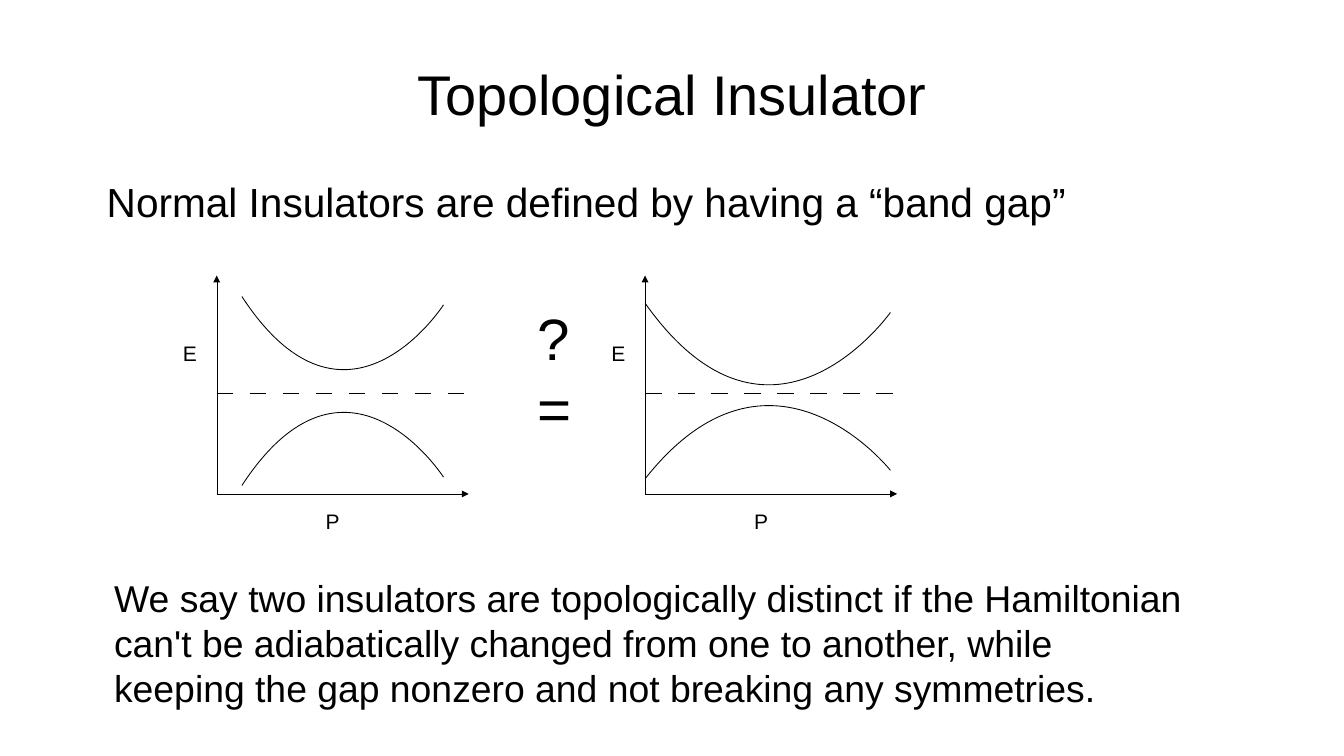
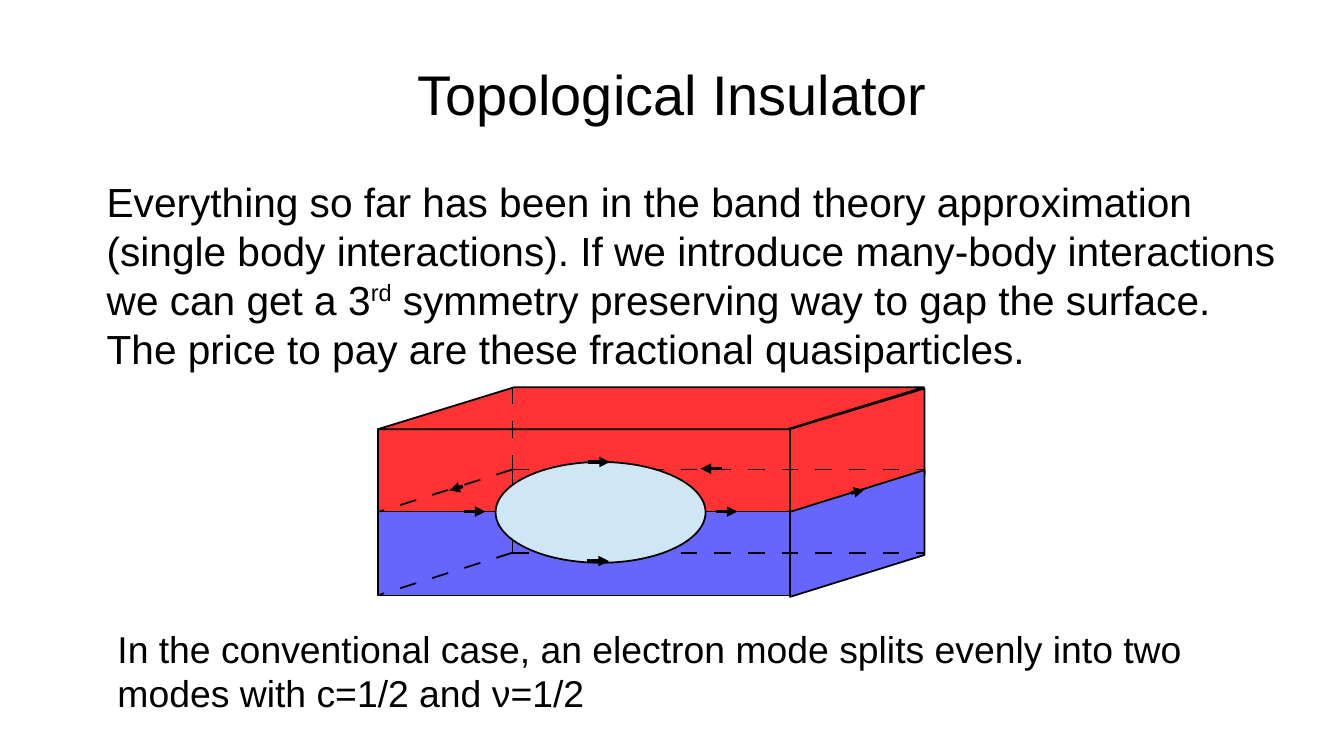
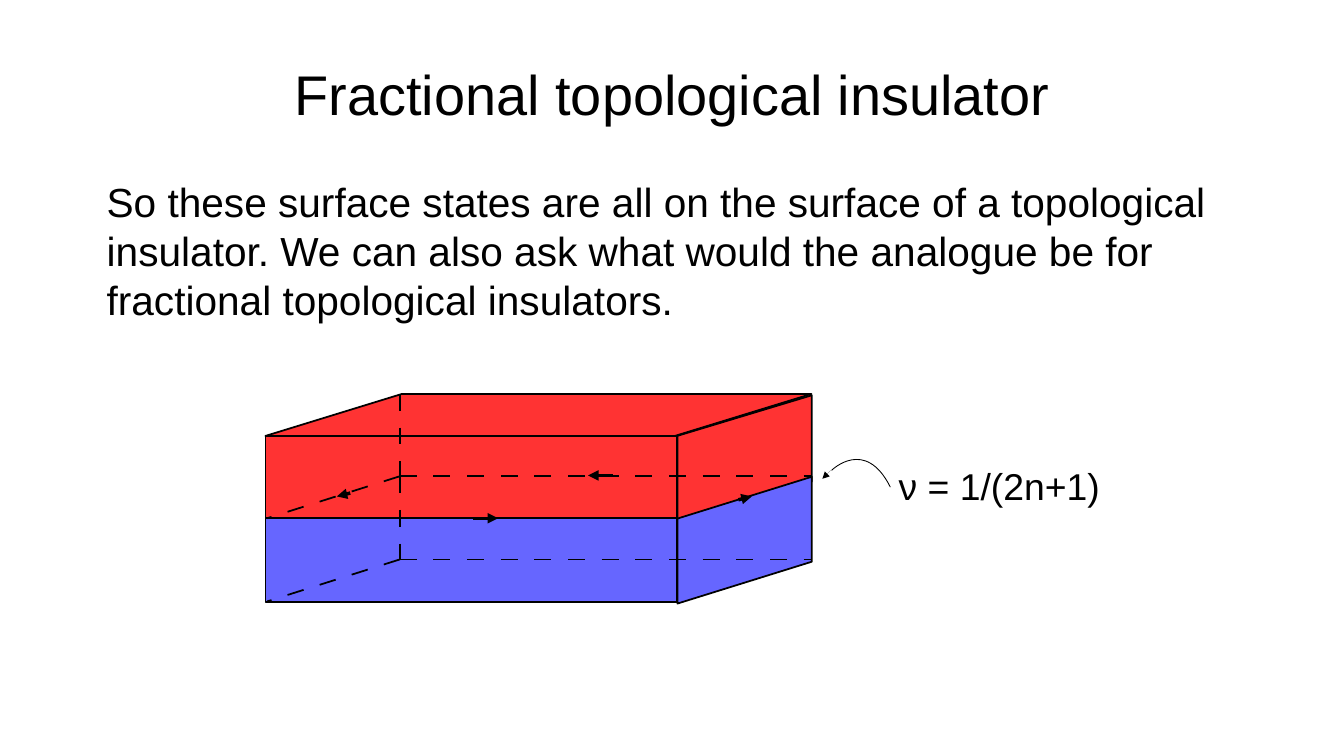
from lxml import etree
from pptx import Presentation
from pptx.dml.color import RGBColor
from pptx.enum.shapes import MSO_CONNECTOR, MSO_SHAPE
from pptx.enum.text import MSO_ANCHOR, MSO_AUTO_SIZE, PP_ALIGN
from pptx.oxml.ns import qn
from pptx.util import Pt

RECT, SLANT, OVAL = MSO_SHAPE.RECTANGLE, MSO_SHAPE.PARALLELOGRAM, MSO_SHAPE.OVAL
LINE = MSO_CONNECTOR.STRAIGHT
TOP, MID = MSO_ANCHOR.TOP, MSO_ANCHOR.MIDDLE
LEFT, CENTER = PP_ALIGN.LEFT, PP_ALIGN.CENTER
FIXED = MSO_AUTO_SIZE.NONE

BLACK = RGBColor(0x00, 0x00, 0x00)
RED = RGBColor(0xFF, 0x33, 0x33)
BLUE = RGBColor(0x66, 0x66, 0xFF)
PALE = RGBColor(0xCF, 0xE7, 0xF5)
FONT = "Arial"
SCALE = 9144  # EMU in one px, 100 px to the inch
DASH = 14.4  # dash and gap, points

# Content: title, body runs (text, raised), body height
HEADS = [
    ("Topological Insulator",
     [("Normal Insulators are defined by having a “band gap”", False)], 594),
    ("Topological Insulator",
     [("Everything so far has been in the band theory approximation (single body "
       "interactions). If we introduce many-body interactions we can get a 3", False),
      ("rd", True),
      (" symmetry preserving way to gap the surface. The price to pay are these "
       "fractional quasiparticles.", False)], 647),
    ("Fractional topological insulator",
     [("So these surface states are all on the surface of a topological insulator. "
       "We can also ask what would the analogue be for fractional topological "
       "insulators.", False)], 594),
]

# Text boxes per slide: paragraphs, place, size
NOTES = [
    [(["We say two insulators are topologically distinct if the Hamiltonian can't be "
       "adiabatically changed from one to another, while keeping the gap nonzero and "
       "not breaking any symmetries."], (126, 680, 1294, 209), 32),
     (["?", "="], (630, 355, 94, 165), 50)],
    [(["In the conventional case, an electron mode splits evenly into two modes with "
       "c=1/2 and ν=1/2"], (130, 740, 1390, 117), 32)],
    [(["ν = 1/(2n+1)"], (1060, 546, 380, 64), 32)],
]

# Band plots: left edge, then curves as start, bend, end, height of the turn
PLOTS = [
    (258, [((288, 578), (412, 388), (528, 568), 490),
           ((288, 353), (412, 543), (528, 363), 440)]),
    (768, [((768, 570), (918, 380), (1060, 560), 483),
           ((768, 361), (918, 573), (1060, 372), 458)]),
]
PLOT_TOP, PLOT_MID, PLOT_END, PLOT_WIDE = 328, 468, 588, 300

# Slab parts, measured from its top left corner
FACES = [  # shape, place, fill, slant, turned
    (RECT, (0, 50, 490, 100), RED, None, False),
    (SLANT, (0, 0, 650, 50), RED, 3.25, False),
    (SLANT, (495, -3, 151, 160), RED, 0.32, True),
    (RECT, (0, 148, 490, 100), BLUE, None, False),
    (SLANT, (495, 94, 151, 160), BLUE, 0.33, True),
]
EDGES = [
    (160, 98, 2, 148), (160, 0, 160, 98), (160, 98, 650, 98),
    (160, 197, 650, 197), (160, 98, 160, 197), (160, 197, 2, 247),
]

# Edge modes
BACK = [(860, 558, 834, 558), (1013, 587, 1029, 583), (551, 579, 535, 584)]
HOLE = (590, 550, 250, 120)
FRONT = [(552, 609, 578, 609), (700, 550, 726, 550),
         (699, 668, 725, 668), (852, 609, 878, 609)]
MODES = [(563, 617, 593, 617), (730, 566, 700, 566),
         (879, 595, 895, 591), (417, 587, 401, 591)]
HOOK = ((1060, 580), (1030, 520), (990, 560), 547)
TIP = (989, 560, 979, 570)


def emu(*vals):
    return [v * SCALE for v in vals]


def style(para, size):
    for run in para.runs:
        font = run.font
        font.name, font.size, font.color.rgb = FONT, Pt(size), BLACK


def frame(shape, anchor, pad):
    text = shape.text_frame
    text.word_wrap, text.auto_size, text.vertical_anchor = True, FIXED, anchor
    text.margin_left, text.margin_right = emu(2 * pad, 2 * pad)
    text.margin_top, text.margin_bottom = emu(pad, pad)
    return text


def place(shape, *box):
    shape.left, shape.top, shape.width, shape.height = emu(*box)


def add_head(deck, title, runs, high):
    slide = deck.slides.add_slide(deck.slide_layouts[1])
    head, body = slide.placeholders
    place(head, 80, 36, 1440, 150)
    para = frame(head, MID, 0).paragraphs[0]
    para.text, para.alignment = title, CENTER
    style(para, 47.9)

    place(body, 80, 211, 1440, high)
    para = frame(body, TOP, 0).paragraphs[0]
    prop = para._p.get_or_add_pPr()
    prop.set("marL", str(47 * SCALE))
    prop.set("indent", "0")
    etree.SubElement(prop, qn("a:buNone"))
    para.alignment = LEFT
    para.space_before, para.space_after = Pt(0), Pt(15.4)
    for text, raised in runs:
        run = para.add_run()
        run.text = text
        if raised:
            run._r.get_or_add_rPr().set("baseline", "33000")
    style(para, 34.8)
    return slide


def add_note(slide, lines, box, size):
    text = frame(slide.shapes.add_textbox(*emu(*box)), TOP, 5)
    text.text = "\n".join(lines)
    for para in text.paragraphs:
        style(para, size)


def add_line(slide, ends, width, dash=False, arrow=False):
    line = slide.shapes.add_connector(LINE, *emu(*ends))
    line.line.color.rgb, line.line.width = BLACK, Pt(width)
    # Without the theme style a zero width stays a hairline
    item = line._element
    item.remove(item.find(qn("p:style")))
    pen = item.spPr.find(qn("a:ln"))
    pen.set("w", str(Pt(width)))
    if dash:
        stop = etree.SubElement(etree.SubElement(pen, qn("a:custDash")), qn("a:ds"))
        for key in ("d", "sp"):
            stop.set(key, str(round(DASH / width * 100000)))
    if arrow:
        etree.SubElement(pen, qn("a:tailEnd")).set("type", "triangle")
    etree.SubElement(item.spPr, qn("a:effectLst"))


def add_shape(slide, kind, box, fill):
    shape = slide.shapes.add_shape(kind, *emu(*box))
    shape.shadow.inherit = False
    shape.fill.solid()
    shape.fill.fore_color.rgb = fill
    shape.line.color.rgb, shape.line.width = BLACK, Pt(1.5)
    return shape


def add_curve(slide, start, bend, end, turn):
    # The turn sets the outline's box, then one cubic replaces the segments
    build = slide.shapes.build_freeform(*start, scale=SCALE)
    build.add_line_segments([(bend[0], turn), end], close=False)
    curve = build.convert_to_shape()
    curve.shadow.inherit = False
    curve.fill.background()
    curve.line.color.rgb, curve.line.width = BLACK, Pt(0)
    left, top = min(start[0], end[0]), min(start[1], end[1], turn)
    track = next(curve._element.iter(qn("a:path")))
    for piece in track.findall(qn("a:lnTo")):
        track.remove(piece)
    cubic = etree.SubElement(track, qn("a:cubicBezTo"))
    for x, y in (bend, end, end):
        dot = etree.SubElement(cubic, qn("a:pt"))
        dot.set("x", str(x - left))
        dot.set("y", str(y - top))


def add_plot(slide, left, curves):
    for curve in curves:
        add_curve(slide, *curve)
    right = left + PLOT_WIDE
    add_line(slide, (left, PLOT_END, left, PLOT_TOP), 0, arrow=True)
    add_line(slide, (left, PLOT_END, right, PLOT_END), 0, arrow=True)
    add_note(slide, ["E"], (left - 50, 400, 50, 38), 18)
    add_note(slide, ["P"], (left + 120, 600, 140, 38), 18)
    add_line(slide, (left, PLOT_MID, right, PLOT_MID), 0.75, dash=True)


def add_slab(slide, left, top):
    for kind, (x, y, wide, high), fill, slant, turned in FACES:
        face = add_shape(slide, kind, (left + x, top + y, wide, high), fill)
        if slant:
            face.adjustments[0] = slant
        if turned:
            face.rotation = 90
            face._element.spPr.xfrm.set("flipV", "1")
    for x1, y1, x2, y2 in EDGES:
        add_line(slide, (left + x1, top + y1, left + x2, top + y2), 1.5, dash=True)


def add_modes(slide, modes):
    for mode in modes:
        add_line(slide, mode, 3, arrow=True)


def main():
    deck = Presentation()
    deck.slide_width, deck.slide_height = emu(1600, 900)
    slides = [add_head(deck, *head) for head in HEADS]
    gap, split, frac = slides

    # Band gap plots
    for plot in PLOTS:
        add_plot(gap, *plot)

    # Slab with a hole
    add_slab(split, 450, 461)
    add_modes(split, BACK)
    add_shape(split, OVAL, HOLE, PALE)
    add_modes(split, FRONT)

    # Plain slab with a pointer
    add_slab(frac, 316, 469)
    add_modes(frac, MODES)
    add_curve(frac, *HOOK)
    add_line(frac, TIP, 0, arrow=True)

    for slide, notes in zip(slides, NOTES):
        for note in notes:
            add_note(slide, *note)
    deck.save("out.pptx")


if __name__ == "__main__":
    main()
